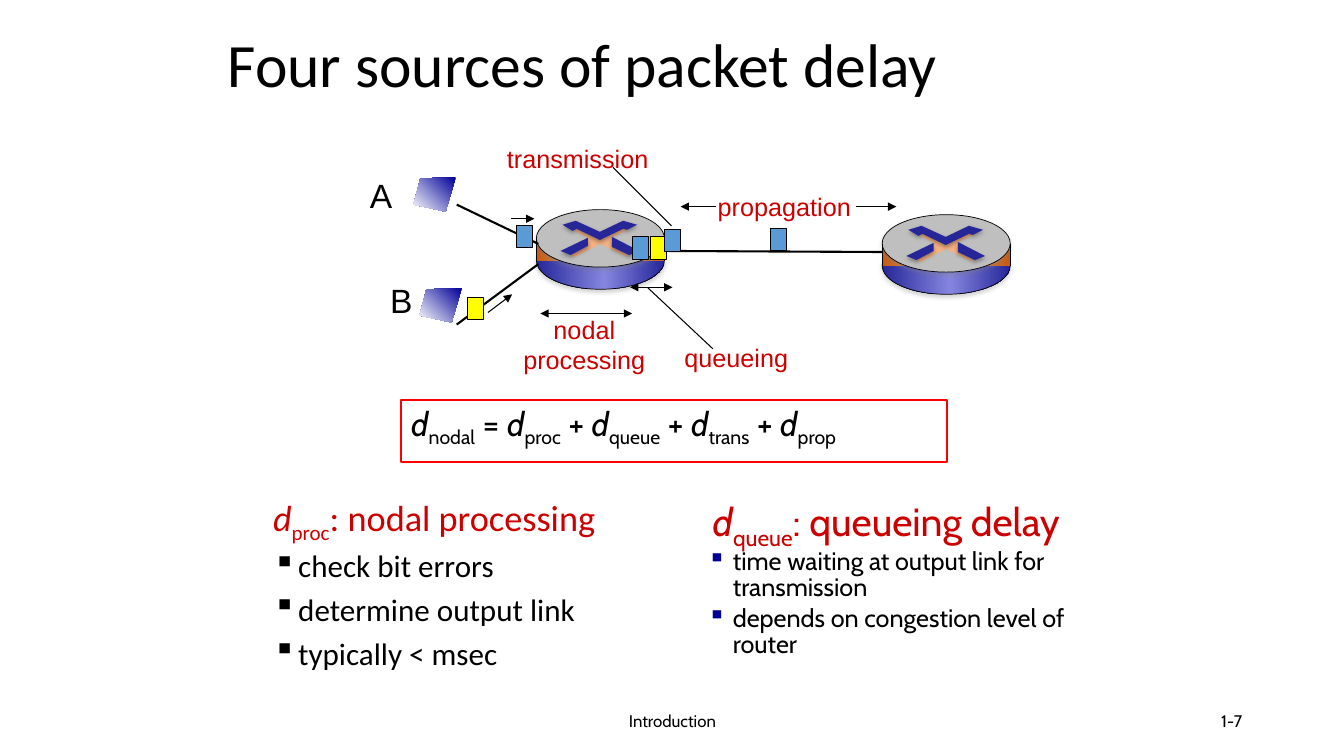
"""Builds the slide on four sources of packet delay."""
import pptx
import pptx.util
import pptx.dml.color
import pptx.enum.shapes
import pptx.enum.text
import pptx.oxml.ns
from lxml import etree

Inches, Pt = pptx.util.Inches, pptx.util.Pt
RGB = pptx.dml.color.RGBColor.from_string
Kind = pptx.enum.shapes.MSO_SHAPE
Align = pptx.enum.text.PP_ALIGN
Anchor = pptx.enum.text.MSO_ANCHOR
qn = pptx.oxml.ns.qn


class Theme:
    black, red, edge = "000000", "CC0000", "FF0000"
    blue, yellow, gray = "5B9BD5", "FFFF00", "BFBFBF"
    navy, peach, dot = "262699", "F4B183", "000099"
    steel = (0, [(0, "262699"), (53, "8585E0"), (100, "262699")])
    rust = (180, [(0, "C55A11"), (53, "F4B183"), (100, "C55A11")])
    screen = (135, [(0, "000099"), (100, "FFFFFF")])
    main, note, label = "Calibri", "Cabin", "Arial"
    title, lead, item, head, sum, text, foot = 44, 25.9, 22.2, 28, 24, 18, 12


def paint(shape, fill, line=None, shade=None):
    shape.shadow.inherit = False
    props = shape._element.spPr
    if isinstance(fill, tuple):
        shape.fill.gradient()
        grad = props.find(qn("a:gradFill"))
        grad.find(qn("a:lin")).set("ang", str(fill[0] * 60000))
        stops = grad.find(qn("a:gsLst"))
        for old in list(stops):
            stops.remove(old)
        for place, hue in fill[1]:
            stop = etree.SubElement(stops, qn("a:gs"), pos=str(place * 1000))
            etree.SubElement(stop, qn("a:srgbClr"), val=hue)
    elif fill:
        shape.fill.solid()
        shape.fill.fore_color.rgb = RGB(fill)
    else:
        shape.fill.background()
    if line:
        shape.line.color.rgb = RGB(line[0])
        shape.line.width = Pt(line[1])
    else:
        shape.line.fill.background()
    if shade:
        glow = etree.SubElement(props.find(qn("a:effectLst")), qn("a:outerShdw"), blurRad=str(Pt(3.1)),
                                dist=str(Pt(1.8)), dir="5400000", rotWithShape="0")
        tint = etree.SubElement(glow, qn("a:srgbClr"), val=shade)
        etree.SubElement(tint, qn("a:alpha"), val="35000")


def write(para, text, size, face, hue, align=Align.LEFT, lead=None, gap=0, left=0, hang=0, mark=None):
    props = para._p.get_or_add_pPr()
    props.set("marL", str(Inches(left)))
    props.set("indent", str(Inches(hang)))
    if mark:
        color = etree.SubElement(props, qn("a:buClr"))
        etree.SubElement(color, qn("a:srgbClr"), val=mark)
        etree.SubElement(props, qn("a:buChar"), char="▪")
    para.alignment = align
    para.line_spacing = lead
    para.space_before = Pt(gap)
    for part in text.split("|"):
        run = para.add_run()
        run.text = part.lstrip("/_")
        run.font.size, run.font.name = Pt(size), face
        run.font.color.rgb = RGB(hue)
        run.font.italic = part.startswith("/")
        if part.startswith("_"):
            run.font._element.set("baseline", "-25000")


deck = pptx.Presentation()
deck.slide_width, deck.slide_height = Inches(13.33), Inches(7.5)
slide = deck.slides.add_slide(deck.slide_layouts[6])
shapes = slide.shapes

thin = (Theme.black, 0.5)
discs = [
    (Kind.OVAL, 0.22, 0.57, Theme.steel, thin, "808080"),
    (Kind.RECTANGLE, 0.3, 0.21, Theme.rust, None, None),
    (Kind.OVAL, 0, 0.57, Theme.gray, thin, "808080"),
]
marks = [
    ([(63, 34), (38, 47), (32, 44), (51, 36), (51, 28), (36, 20), (41, 19), (63, 29), (85, 18),
      (91, 20), (75, 27), (78, 38), (94, 44), (88, 46)], Theme.peach, None),
    ([(26, 15), (39, 11), (63, 22), (86, 11), (100, 15), (90, 20), (86, 19), (63, 30), (40, 19),
      (36, 21)], Theme.navy, Theme.black),
    ([(75, 27), (102, 41), (92, 45), (75, 37)], Theme.navy, Theme.black),
    ([(51, 28), (51, 36), (34, 45), (24, 41)], Theme.navy, Theme.black),
]
screen = [(42, 0), (7, 1), (0, 27), (32, 34)]
routers = [(5.32, 2.08), (8.75, 2.13)]
plots = []
for x, y in routers:
    for kind, drop, tall, fill, line, shade in discs:
        disc = shapes.add_shape(kind, Inches(x), Inches(y + drop), Inches(1.27), Inches(tall))
        paint(disc, fill, line, shade)
    plots += [(x, y, *mark) for mark in marks]
plots += [(x, y, screen, Theme.screen, None) for x, y in [(4.1, 1.76), (4.16, 2.86)]]
for x, y, points, fill, shade in plots:
    spots = [(round(x * 100) + dx, round(y * 100) + dy) for dx, dy in points]
    form = shapes.build_freeform(*spots[0], scale=Inches(0.01))
    form.add_line_segments(spots[1:], close=True)
    paint(form.convert_to_shape(), fill, None, shade)

lines = [
    (4.53, 2.03, 5.34, 2.42, 1.5, ""),
    (4.53, 3.22, 5.34, 2.62, 1.5, ""),
    (6.64, 2.49, 8.75, 2.5, 1.5, ""),
    (8.49, 2.05, 8.89, 2.05, 0.75, "tail"),
    (7.1, 2.05, 6.75, 2.05, 0.75, "tail"),
    (6.27, 3.11, 5.36, 3.11, 0.75, "head tail"),
    (6.67, 2.85, 6.25, 2.85, 0.75, "head tail"),
    (7.07, 3.46, 6.42, 2.85, 0.75, ""),
    (5.07, 2.17, 5.3, 2.17, 0.75, "tail"),
    (4.84, 3.1, 5.08, 2.92, 0.75, "tail"),
    (6.08, 1.66, 6.66, 2.24, 0.75, ""),
]
lines += [(x + dx, y + 0.51, x + dx, y + 0.29, 0.5, "") for x, y in routers for dx in (0, 1.27)]
for x1, y1, x2, y2, width, ends in lines:
    link = shapes.add_connector(pptx.enum.shapes.MSO_CONNECTOR.STRAIGHT,
                                Inches(x1), Inches(y1), Inches(x2), Inches(y2))
    link.line.color.rgb = RGB(Theme.black)
    link.line.width = Pt(width)
    for end in ends.split():
        etree.SubElement(link.line._get_or_add_ln(), qn(f"a:{end}End"), type="triangle")
    etree.SubElement(link._element.spPr, qn("a:effectLst"))

packets = [
    (7.64, 2.27, Theme.blue), (6.27, 2.35, Theme.blue), (6.45, 2.35, Theme.yellow),
    (6.59, 2.28, Theme.blue), (5.12, 2.24, Theme.blue), (4.64, 2.95, Theme.yellow),
]
for x, y, fill in packets:
    packet = shapes.add_shape(Kind.RECTANGLE, Inches(x), Inches(y), Inches(0.16), Inches(0.22))
    paint(packet, fill, (Theme.black, 0.75))

total = shapes.add_shape(Kind.RECTANGLE, Inches(3.98), Inches(3.97), Inches(5.41), Inches(0.61))
paint(total, None, (Theme.edge, 1.5))
total.text_frame.vertical_anchor = Anchor.TOP
write(total.text_frame.paragraphs[0],
      "/d|_nodal| = |/d|_proc| + |/d|_queue| + |/d|_trans| + |/d|_prop",
      Theme.sum, Theme.note, Theme.black, lead=0.85, left=0.31, hang=-0.31)

tag = (Theme.text, Theme.label, Theme.red)
host = (Theme.sum, Theme.label, Theme.black)
foot = (Theme.foot, Theme.note, Theme.black)
step = (Theme.item, Theme.main, Theme.black)
wait = (Theme.text, Theme.note, Theme.black)
mid = dict(align=Align.CENTER)
first = dict(lead=0.8, left=0.25, hang=-0.25)
check = dict(first, gap=10, mark=Theme.black)
queue = dict(lead=0.85, left=0.25, hang=-0.25, gap=3.6, mark=Theme.dot)
boxes = [
    (2.16, 0.22, 8.5, 0.89, True, Anchor.MIDDLE, [
        ("Four sources of packet delay", (Theme.title, Theme.main, Theme.black), dict(lead=0.9))]),
    (2.61, 4.91, 4.17, 1.79, True, Anchor.TOP, [
        ("/d|_proc|: nodal processing", (Theme.lead, Theme.main, Theme.red), first),
        ("check bit errors", step, check),
        ("determine output link", step, check),
        ("typically < msec", step, check)]),
    (6.92, 4.91, 4.17, 2.39, True, Anchor.TOP, [
        ("/d|_queue|: queueing delay", (Theme.head, Theme.note, Theme.red),
         dict(lead=0.85, left=0.38, hang=-0.33)),
        ("time waiting at output link for transmission", wait, queue),
        ("depends on congestion level of router", wait, queue)]),
    (4.42, 6.95, 4.5, 0.4, True, Anchor.MIDDLE, [("Introduction", foot, mid)]),
    (9.42, 6.95, 3, 0.4, True, Anchor.MIDDLE, [("1-7", foot, dict(align=Align.RIGHT))]),
    (7.02, 1.85, 1.52, 0.4, False, Anchor.TOP, [("propagation", tag, {})]),
    (5.09, 3.07, 1.41, 0.7, False, Anchor.TOP, [("nodal", tag, mid), ("processing", tag, mid)]),
    (6.69, 3.35, 1.23, 0.4, False, Anchor.TOP, [("queueing", tag, {})]),
    (4.93, 1.37, 1.6, 0.4, False, Anchor.TOP, [("transmission", tag, {})]),
    (3.57, 1.69, 0.44, 0.5, False, Anchor.TOP, [("A", host, {})]),
    (3.77, 2.73, 0.42, 0.5, False, Anchor.TOP, [("B", host, {})]),
]
for x, y, wide, tall, wrap, anchor, rows in boxes:
    frame = shapes.add_textbox(Inches(x), Inches(y), Inches(wide), Inches(tall)).text_frame
    frame.word_wrap = wrap
    frame.vertical_anchor = anchor
    for row, (text, style, look) in enumerate(rows):
        para = frame.add_paragraph() if row else frame.paragraphs[0]
        write(para, text, *style, **look)

deck.save("out.pptx")
